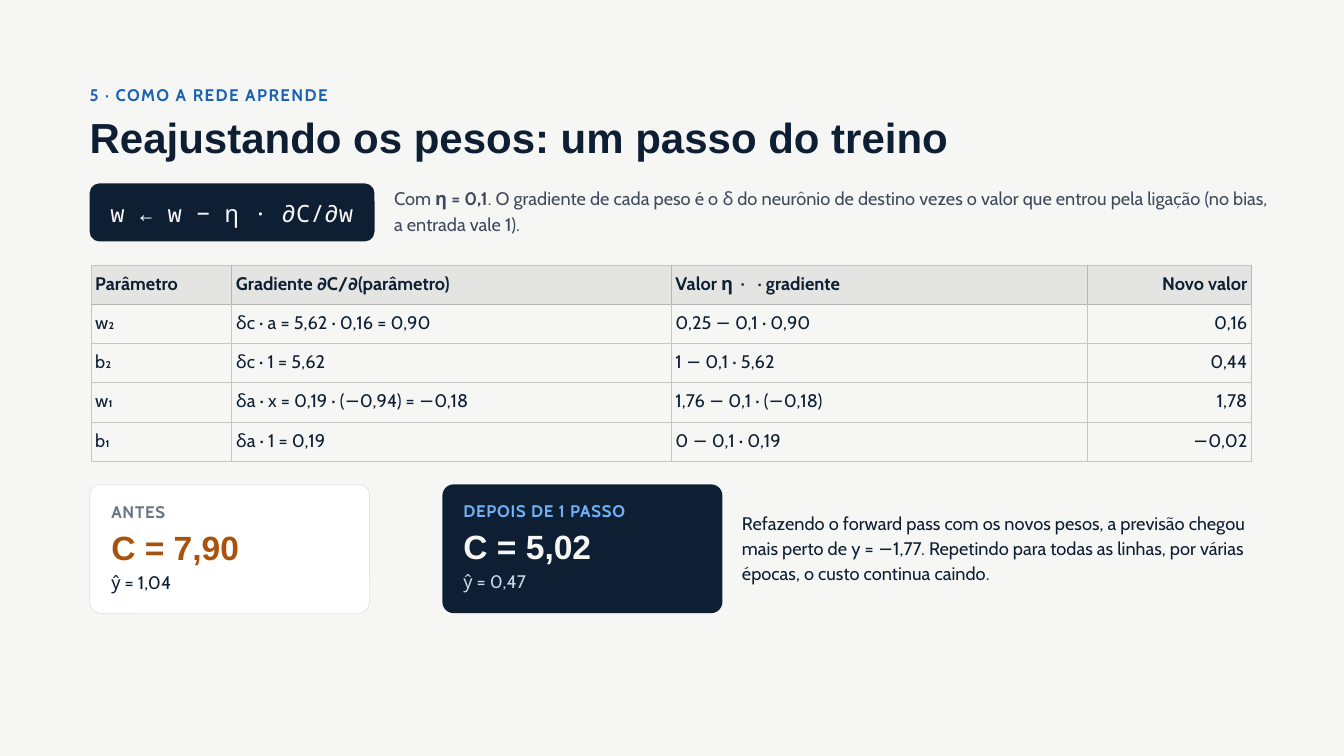
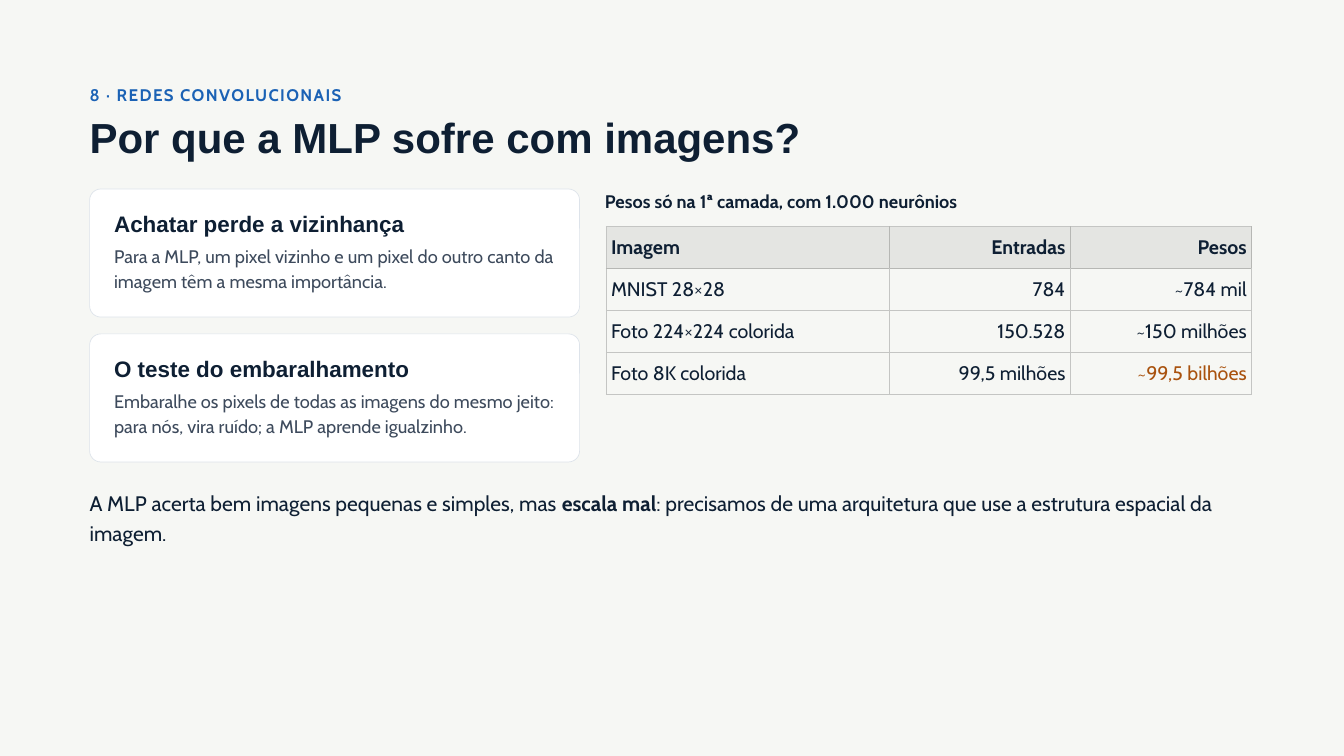
import dataclasses
import pptx
import pptx.dml.color
import pptx.enum.shapes
import pptx.enum.text
import pptx.oxml
import pptx.oxml.ns
import pptx.util

RGB = pptx.dml.color.RGBColor
ALIGN = pptx.enum.text.PP_ALIGN
ANCHOR = pptx.enum.text.MSO_ANCHOR
PAPER = RGB(0xF6, 0xF7, 0xF4)
NAVY = RGB(0x0E, 0x1F, 0x33)
WHITE = RGB(0xFF, 0xFF, 0xFF)
BLUE = RGB(0x1B, 0x62, 0xB5)
SKY = RGB(0x6F, 0xB1, 0xF5)
MIST = RGB(0xC9, 0xD6, 0xE5)
SLATE = RGB(0x3D, 0x4A, 0x5C)
GREY = RGB(0x6A, 0x76, 0x84)
RUST = RGB(0xA9, 0x52, 0x0E)
EDGE = RGB(0xDD, 0xE3, 0xEA)
HEAD = RGB(0xE4, 0xE5, 0xE2)
RULE = RGB(0xC4, 0xC5, 0xC3)
DARK_RULE = RGB(0xB6, 0xB7, 0xB4)

PX = 9525
LEFT = 128
WIDE = 1714


@dataclasses.dataclass(frozen=True)
class Style:
    face: str
    size: float
    lead: float
    ink: RGB = NAVY
    bold: bool = False
    track: int = 0


TAG = Style("Cabin", 18, 25.2, BLUE, True, 150)
TITLE = Style("Arial", 45, 49.5, NAVY, True)
CODE = Style("Noto Sans Mono", 25.5, 35.7, PAPER)
BODY = Style("Cabin", 19.5, 27.3)
SOFT = dataclasses.replace(BODY, ink=SLATE)
STRONG = dataclasses.replace(BODY, bold=True)
CELL = Style("Cabin", 21, 29.4)
CLOSE = Style("Cabin", 22.5, 31.5)
LABEL = Style("Cabin", 18, 25.2, GREY, True, 80)
COST = Style("Arial", 36, 39.6, RUST, True)
CARD = Style("Arial", 24, 28.8, NAVY, True)


def tint(style, ink):
    return dataclasses.replace(style, ink=ink)


def scale(box):
    return [side * PX for side in box]


def pad(part, left=0, top=0, right=0, base=0):
    part.margin_left, part.margin_top, part.margin_right, part.margin_bottom = scale(
        (left, top, right, base))


def write(frame, style, *parts, align=ALIGN.LEFT):
    line = frame.paragraphs[0]
    line.alignment = align
    line.line_spacing = pptx.util.Pt(style.lead)
    for spot, text in enumerate(parts):
        run = line.add_run()
        run.text = text
        font = run.font
        font.name = style.face
        font.size = pptx.util.Pt(style.size)
        font.bold = style.bold or spot % 2 == 1
        font.color.rgb = style.ink
        if style.track:
            run._r.get_or_add_rPr().set("spc", str(style.track))


def add_text(slide, box, style, *parts):
    frame = slide.shapes.add_textbox(*scale(box)).text_frame
    frame.word_wrap = True
    pad(frame)
    write(frame, style, *parts)


def add_card(slide, box, curve, fill, edge=None):
    card = slide.shapes.add_shape(
        pptx.enum.shapes.MSO_SHAPE.ROUNDED_RECTANGLE, *scale(box))
    card.adjustments[0] = curve / min(box[2:])
    card.shadow.inherit = False
    card.fill.solid()
    card.fill.fore_color.rgb = fill
    if edge is None:
        card.line.fill.background()
    else:
        card.line.color.rgb = edge
        card.line.width = pptx.util.Pt(0.75)
    return card


def add_head(slide, box, tag, text):
    x, y, w, h = box
    add_text(slide, (x, y, w, 41), TAG, tag)
    title = slide.shapes.title
    title.left, title.top, title.width, title.height = scale((x, y + 50, w, h - 50))
    frame = title.text_frame
    frame.word_wrap = True
    frame.auto_size = pptx.enum.text.MSO_AUTO_SIZE.NONE
    frame.vertical_anchor = ANCHOR.TOP
    pad(frame)
    write(frame, TITLE, text)


def add_rule(cell, side, ink):
    frag = (f'<a:{side} {pptx.oxml.ns.nsdecls("a")} w="12700">'
            f'<a:solidFill><a:srgbClr val="{ink}"/></a:solidFill></a:{side}>')
    cell._tc.get_or_add_tcPr().append(pptx.oxml.parse_xml(frag))


def add_grid(slide, spot, cols, high, rows, style, inset, right, hot=()):
    box = (*spot, sum(cols), high * len(rows))
    grid = slide.shapes.add_table(len(rows), len(cols), *scale(box)).table
    grid.horz_banding = False
    for col, wide in zip(grid.columns, cols):
        col.width = wide * PX
    for r, texts in enumerate(rows):
        grid.rows[r].height = high * PX
        for c, text in enumerate(texts):
            cell = grid.cell(r, c)
            pad(cell, inset, inset, inset, inset)
            top = r == 0
            add_rule(cell, "lnL", DARK_RULE if top and c else RULE)
            add_rule(cell, "lnR", DARK_RULE if top else RULE)
            add_rule(cell, "lnT", DARK_RULE if r == 1 else RULE)
            add_rule(cell, "lnB", DARK_RULE if top else RULE)
            if top:
                cell.fill.solid()
                cell.fill.fore_color.rgb = HEAD
            else:
                cell.fill.background()
            look = dataclasses.replace(
                style, bold=top, ink=RUST if (r, c) in hot else style.ink)
            write(cell.text_frame, look, text,
                  align=ALIGN.RIGHT if c in right else ALIGN.LEFT)


def add_rate(slide, box):
    x, y, w, h = box
    frame = add_card(slide, (x, y, 407, h), 14, NAVY).text_frame
    frame.vertical_anchor = ANCHOR.MIDDLE
    frame.word_wrap = True
    pad(frame, 6, 6, 6, 10)
    write(frame, CODE, "w ← w − η · ∂C/∂w", align=ALIGN.CENTER)
    add_text(slide, (x + 435, y + 1, w - 435, 81), SOFT, "Com ", "η = 0,1",
             ". O gradiente de cada peso é o δ do neurônio de destino vezes "
             "o valor que entrou pela ligação (no bias, a entrada vale 1).")


def add_cost(slide, box, fill, edge, lines):
    x, y, w, h = box
    add_card(slide, box, 16, fill, edge)
    rim = 1 if edge else 0
    for (style, text), drop, tall in zip(lines, (19, 64, 118), (41, 56, 44)):
        add_text(slide, (x + 30 + rim, y + drop + rim, w - 50, tall), style, text)


def add_point(slide, box, name, text):
    x, y, w, h = box
    add_card(slide, box, 16, WHITE, EDGE)
    add_text(slide, (x + 35, y + 30, w - 51, 43), CARD, name)
    add_text(slide, (x + 35, y + 75, w - 51, 81), SOFT, text)


def new_slide(deck, tag, title):
    slide = deck.slides.add_slide(deck.slide_layouts[5])
    add_head(slide, (LEFT, 116, WIDE, 118), tag, title)
    return slide


def add_step(deck):
    slide = new_slide(deck, "5 · COMO A REDE APRENDE",
                      "Reajustando os pesos: um passo do treino")
    add_rate(slide, (LEFT, 262, 1701, 83))
    rows = [
        ("Parâmetro", "Gradiente ∂C/∂(parâmetro)", "Valor − η · gradiente", "Novo valor"),
        ("w₂", "δc · a = 5,62 · 0,16 = 0,90", "0,25 − 0,1 · 0,90", "0,16"),
        ("b₂", "δc · 1 = 5,62", "1 − 0,1 · 5,62", "0,44"),
        ("w₁", "δa · x = 0,19 · (−0,94) = −0,18", "1,76 − 0,1 · (−0,18)", "1,78"),
        ("b₁", "δa · 1 = 0,19", "0 − 0,1 · 0,19", "−0,02"),
    ]
    add_grid(slide, (130, 379), (201, 628, 595, 234), 56, rows, BODY, 6, {3})
    add_cost(slide, (LEFT, 692, 400, 184), WHITE, EDGE, [
        (LABEL, "ANTES"), (COST, "C = 7,90"), (BODY, "ŷ = 1,04")])
    add_cost(slide, (632, 692, 400, 184), NAVY, None, [
        (tint(LABEL, SKY), "DEPOIS DE 1 PASSO"),
        (tint(COST, PAPER), "C = 5,02"),
        (tint(BODY, MIST), "ŷ = 0,47")])
    add_text(slide, (1060, 726, 754, 117), BODY,
             "Refazendo o forward pass com os novos pesos, a previsão chegou "
             "mais perto de y = −1,77. Repetindo para todas as linhas, por várias "
             "épocas, o custo continua caindo.")


def add_limits(deck):
    slide = new_slide(deck, "8 · REDES CONVOLUCIONAIS",
                      "Por que a MLP sofre com imagens?")
    points = [
        ("Achatar perde a vizinhança",
         "Para a MLP, um pixel vizinho e um pixel do outro canto da imagem "
         "têm a mesma importância."),
        ("O teste do embaralhamento",
         "Embaralhe os pixels de todas as imagens do mesmo jeito: para nós, "
         "vira ruído; a MLP aprende igualzinho."),
    ]
    for spot, (name, text) in enumerate(points):
        add_point(slide, (LEFT, 270 + 207 * spot, 700, 183), name, text)
    add_text(slide, (864, 266, 956, 44), STRONG,
             "Pesos só na 1ª camada, com 1.000 neurônios")
    rows = [
        ("Imagem", "Entradas", "Pesos"),
        ("MNIST 28×28", "784", "~784 mil"),
        ("Foto 224×224 colorida", "150.528", "~150 milhões"),
        ("Foto 8K colorida", "99,5 milhões", "~99,5 bilhões"),
    ]
    add_grid(slide, (866, 324), (404, 259, 259), 60, rows, CELL, 7, {1, 2}, {(3, 2)})
    add_text(slide, (LEFT, 695, WIDE, 92), CLOSE,
             "A MLP acerta bem imagens pequenas e simples, mas ", "escala mal",
             ": precisamos de uma arquitetura que use a estrutura espacial da imagem.")


def main():
    deck = pptx.Presentation()
    deck.slide_width, deck.slide_height = scale((1920, 1080))
    back = deck.slide_master.background.fill
    back.solid()
    back.fore_color.rgb = PAPER
    add_step(deck)
    add_limits(deck)
    deck.save("out.pptx")


if __name__ == "__main__":
    main()
